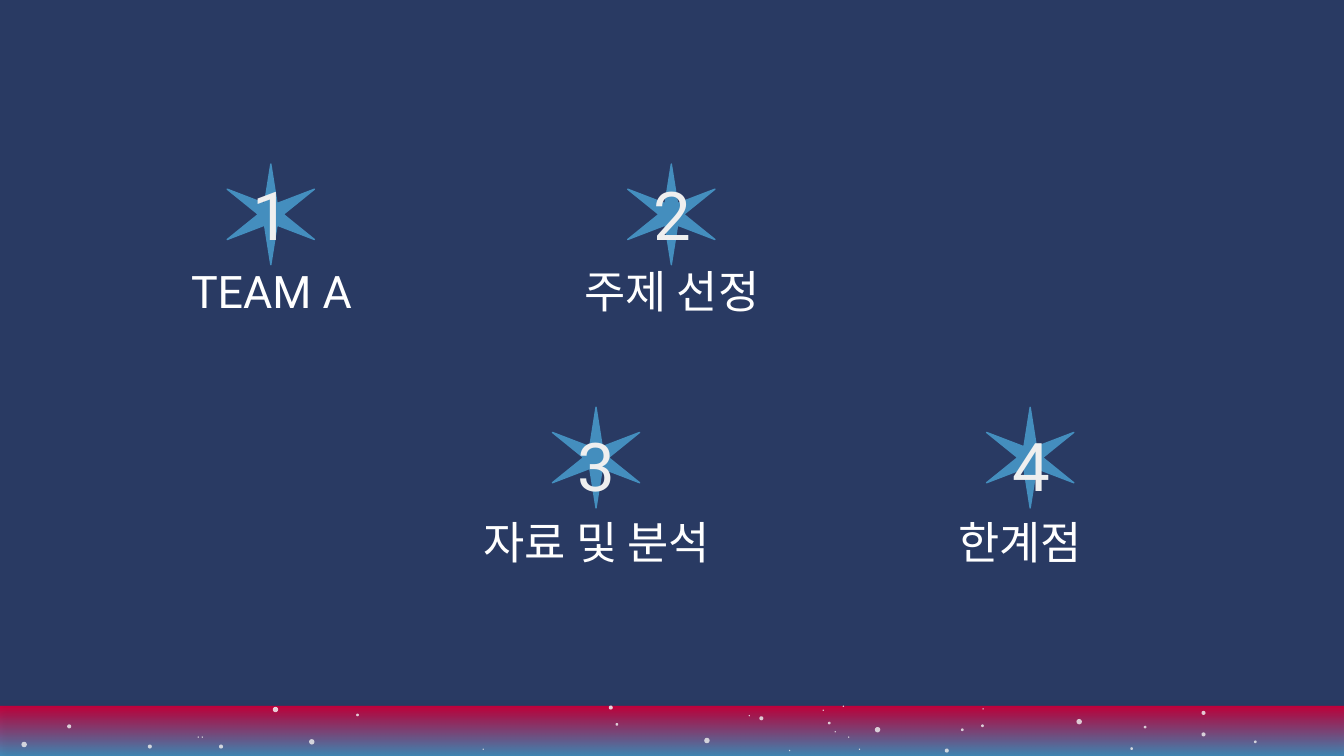
from dataclasses import dataclass

from lxml import etree
from pptx import Presentation
from pptx.dml.color import RGBColor
from pptx.enum.shapes import MSO_SHAPE
from pptx.enum.text import MSO_ANCHOR, MSO_AUTO_SIZE, PP_ALIGN
from pptx.oxml import parse_xml
from pptx.oxml.ns import nsdecls, qn
from pptx.util import Inches, Pt


@dataclass(frozen=True)
class Theme:
    background = RGBColor.from_string("293A63")
    red = RGBColor.from_string("C7003C")
    blue = RGBColor.from_string("448EBE")
    number = RGBColor.from_string("EFEFEF")
    white = RGBColor.from_string("FFFFFF")
    font = "Roboto"
    number_size = Pt(36)
    label_size = Pt(24)


theme = Theme()

presentation = Presentation()
presentation.slide_width = Inches(10)
presentation.slide_height = Inches(10) * 9 // 16
slide = presentation.slides.add_slide(presentation.slide_layouts.get_by_name("Comparison"))
slide.background.fill.solid()
slide.background.fill.fore_color.rgb = theme.background


def add_gradient_band():
    top = Inches(5.25)
    band = slide.shapes.add_shape(
        MSO_SHAPE.RECTANGLE, 0, top, presentation.slide_width, presentation.slide_height - top)
    band.shadow.inherit = False
    band.line.fill.background()
    band.fill.gradient()
    band.fill.gradient_angle = 270
    for stop, color, position in zip(band.fill.gradient_stops, (theme.red, theme.blue), (0, 1)):
        stop.color.rgb = color
        stop.position = position
    return band


def format_text(shape, text, center, top, width, height, size, color, anchor):
    """Place a text shape around a horizontal center and style its single line."""
    shape.left, shape.top = Inches(center - width / 2), Inches(top)
    shape.width, shape.height = Inches(width), Inches(height)
    text_frame = shape.text_frame
    text_frame.text = text
    text_frame.word_wrap = True
    text_frame.auto_size = MSO_AUTO_SIZE.NONE
    text_frame.vertical_anchor = anchor
    text_frame.margin_left = text_frame.margin_right = Inches(0.1)
    text_frame.margin_top = text_frame.margin_bottom = Inches(0.1)
    paragraph = text_frame.paragraphs[0]
    paragraph.alignment = PP_ALIGN.CENTER
    paragraph.space_before = Pt(0)
    properties = paragraph._p.get_or_add_pPr()
    properties.set("marL", "0")
    properties.set("indent", "0")
    etree.SubElement(properties, qn("a:buNone"))
    font = paragraph.runs[0].font
    font.name, font.size, font.bold = theme.font, size, False
    font.color.rgb = color


# Starry band along the bottom: left, top and diameter of each dot
add_gradient_band()
dots = [
    (0.16, 5.52, 0.04), (0.5, 5.39, 0.03), (1.1, 5.54, 0.03), (1.47, 5.48, 0.01),
    (1.5, 5.48, 0.01), (1.63, 5.54, 0.03), (2.03, 5.26, 0.04), (2.3, 5.5, 0.04),
    (2.65, 5.31, 0.02), (3.59, 5.57, 0.01), (4.53, 5.25, 0.03), (4.58, 5.38, 0.02),
    (5.24, 5.49, 0.04), (5.57, 5.32, 0.01), (5.65, 5.33, 0.03), (5.87, 5.58, 0.01),
    (6.12, 5.28, 0.01), (6.16, 5.37, 0.02), (6.21, 5.44, 0.01), (6.27, 5.25, 0.01),
    (6.31, 5.48, 0.01), (6.39, 5.57, 0.01), (6.51, 5.41, 0.04), (7.03, 5.57, 0.03),
    (7.15, 5.42, 0.02), (7.31, 5.27, 0.01), (7.3, 5.39, 0.02), (8.01, 5.35, 0.04),
    (8.41, 5.56, 0.02), (8.51, 5.4, 0.02), (8.94, 5.29, 0.03), (8.94, 5.45, 0.03),
    (9.33, 5.51, 0.02),
]
for left, top, diameter in dots:
    dot = slide.shapes.add_shape(
        MSO_SHAPE.OVAL, Inches(left), Inches(top), Inches(diameter), Inches(diameter))
    dot.shadow.inherit = False
    dot.fill.solid()
    dot.fill.fore_color.rgb = theme.white
    dot.line.fill.background()

# Translucent veil over the dots, with a soft shadow
veil = add_gradient_band()
for color, opacity in zip(veil.element.spPr.iter(qn("a:srgbClr")), (16000, 17000)):
    etree.SubElement(color, qn("a:alpha")).set("val", str(opacity))
veil.element.spPr.find(qn("a:effectLst")).append(parse_xml(
    f'<a:outerShdw {nsdecls("a")} blurRad="{Pt(4.5)}" dist="{Pt(1.5)}" dir="5400000">'
    '<a:srgbClr val="000000"><a:alpha val="50000"/></a:srgbClr></a:outerShdw>'))

# Agenda: label, center of star and number, center of label, top of star, top of number
agenda = [
    ("TEAM A", 2.02, 2.02, 1.22, 1.18),
    ("주제 선정", 5, 5, 1.22, 1.18),
    ("자료 및 분석", 4.44, 4.44, 3.03, 3.05),
    ("한계점", 7.67, 7.59, 3.03, 3.05),
]
title, *label_placeholders = list(slide.placeholders)[:5]
for number, (entry, label_shape) in enumerate(zip(agenda, label_placeholders), start=1):
    label, center, label_center, star_top, number_top = entry
    star = slide.shapes.add_shape(
        MSO_SHAPE.STAR_6_POINT, Inches(center - 0.33), Inches(star_top), Inches(0.65), Inches(0.75))
    star.adjustments[0] = 0.124
    star.shadow.inherit = False
    star.fill.solid()
    star.fill.fore_color.rgb = theme.blue
    star.line.color.rgb = theme.blue
    star.line.width = Pt(0.75)

    number_shape = title if number == 1 else slide.shapes.add_textbox(0, 0, 0, 0)
    format_text(number_shape, str(number), center, number_top, 1.89, 0.82,
                theme.number_size, theme.number, MSO_ANCHOR.MIDDLE)
    format_text(label_shape, label, label_center, number_top + 0.68, 2.81, 0.52,
                theme.label_size, theme.white, MSO_ANCHOR.TOP)
    for shape in (number_shape, label_shape):
        slide.shapes.element.append(shape.element)

for placeholder in list(slide.placeholders):
    if not placeholder.text_frame.text:
        placeholder.element.getparent().remove(placeholder.element)

presentation.save("out.pptx")
